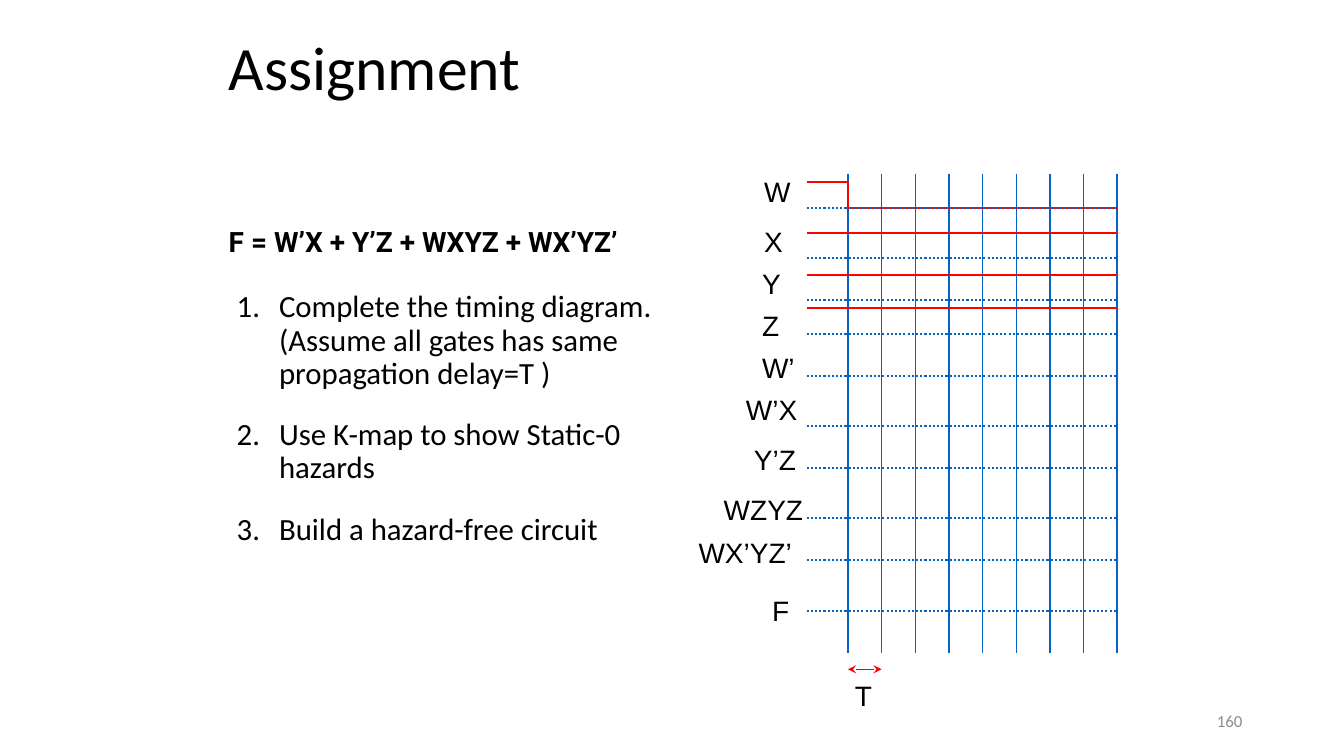
"""Build the assignment slide with its timing diagram."""
from lxml.etree import SubElement
from pptx import Presentation
from pptx.dml.color import RGBColor
from pptx.enum.dml import MSO_LINE
from pptx.enum.text import MSO_ANCHOR, PP_ALIGN
from pptx.oxml.ns import qn
from pptx.util import Inches, Pt

COLORS = {"black": "000000", "blue": "0563C1", "red": "FF0000", "gray": "8C8C8C"}


def add_text(box, lines, font, size, color="black", wrap=True):
    shape = slide.shapes.add_textbox(*[Inches(n) for n in box])
    frame = shape.text_frame
    frame.word_wrap = wrap
    frame.text = "\n".join(lines)
    for para in frame.paragraphs:
        para.font.name = font
        para.font.size = Pt(size)
        para.font.color.rgb = RGBColor.from_string(COLORS[color])
    return frame


def add_line(x1, y1, x2, y2, color, width):
    line = slide.shapes.add_connector(1, Inches(x1), Inches(y1), Inches(x2), Inches(y2))
    line.line.color.rgb = RGBColor.from_string(COLORS[color])
    line.line.width = Pt(width)
    SubElement(line._element.spPr, qn("a:effectLst"))
    return line


deck = Presentation()
deck.slide_width, deck.slide_height = Inches(13.33), Inches(7.5)
slide = deck.slides.add_slide(deck.slide_layouts[6])

title = add_text((2.17, 0.3, 9, 0.78), ["Assignment"], "Calibri", 44)
title.vertical_anchor = MSO_ANCHOR.BOTTOM
title.paragraphs[0].line_spacing = 0.9

tasks = add_text((2.25, 2.84, 4.5, 3.5), [
    "Complete the timing diagram. (Assume all gates has same propagation delay=T )",
    "Use K-map to show Static-0 hazards",
    "Build a hazard-free circuit",
], "Calibri", 22)
for i, para in enumerate(tasks.paragraphs):
    props = para._p.get_or_add_pPr()
    props.set("marL", str(Inches(0.42)))
    props.set("indent", str(-Inches(0.42)))
    bullet = props.makeelement(qn("a:buAutoNum"), {"type": "arabicPeriod"})
    props.insert(0, bullet)
    para.line_spacing = 0.9
    if i:
        para.space_before = Pt(20)

left, edge, right = 8, 8.41, 11.08
step = (right - edge) / 8
for i in range(9):
    x = edge + i * step
    add_line(x, 1.73, x, 6.48, "blue", 1)

for y in (2.31, 2.73, 3.06):
    add_line(left, y, right, y, "red", 1.5)

pen = slide.shapes.build_freeform(Inches(left), Inches(1.81))
pen.add_line_segments(
    [(Inches(x), Inches(y)) for x, y in ((edge, 1.81), (edge, 2.06), (right, 2.06))],
    close=False)
wave = pen.convert_to_shape()
wave.shadow.inherit = False
wave.fill.background()
wave.line.color.rgb = RGBColor.from_string(COLORS["red"])
wave.line.width = Pt(1.5)

signals = [
    ("W", 7.48, 1.68, 0.47, 2.06),
    ("X", 7.48, 2.18, 0.39, 2.56),
    ("Y", 7.46, 2.59, 0.39, 2.98),
    ("Z", 7.46, 3.01, 0.38, 3.31),
    ("W’", 7.46, 3.43, 0.53, 3.73),
    ("W’X", 7.3, 3.84, 0.72, 4.23),
    ("Y’Z", 7.38, 4.34, 0.63, 4.64),
    ("WZYZ", 7.08, 4.84, 1, 5.14),
    ("WX’YZ’", 6.83, 5.26, 1.17, 5.56),
    ("F", 7.56, 5.84, 0.38, 6.06),
]
for name, x, y, width, base in signals:
    add_text((x, y, width, 0.44), [name], "Arial", 20, wrap=len(name) > 3)
    add_line(left, base, right, base, "blue", 1.5).line.dash_style = MSO_LINE.ROUND_DOT

delay = add_line(edge + step, 6.64, edge, 6.64, "red", 1)
for end in ("a:headEnd", "a:tailEnd"):
    SubElement(delay.line._get_or_add_ln(), qn(end), type="stealth")
add_text((8.38, 6.68, 0.38, 0.44), ["T"], "Arial", 20, wrap=False)

formula = add_text((2.17, 2.18, 4.74, 0.43), ["F = W’X + Y’Z + WXYZ + WX’YZ’"],
                   "Roboto", 20, wrap=False)
formula.paragraphs[0].font.bold = True

number = add_text((9.42, 6.95, 3, 0.4), ["160"], "Calibri", 12, "gray")
number.vertical_anchor = MSO_ANCHOR.MIDDLE
number.paragraphs[0].alignment = PP_ALIGN.RIGHT

deck.save("out.pptx")
